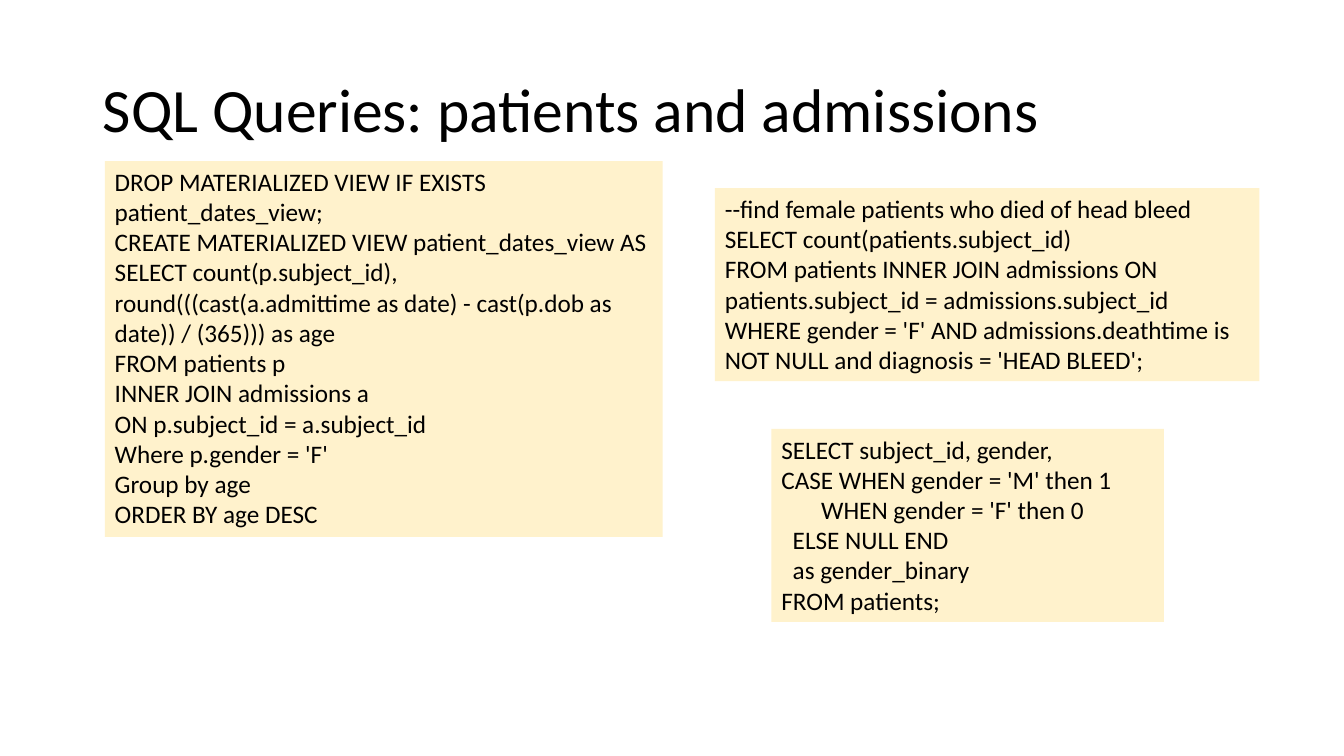
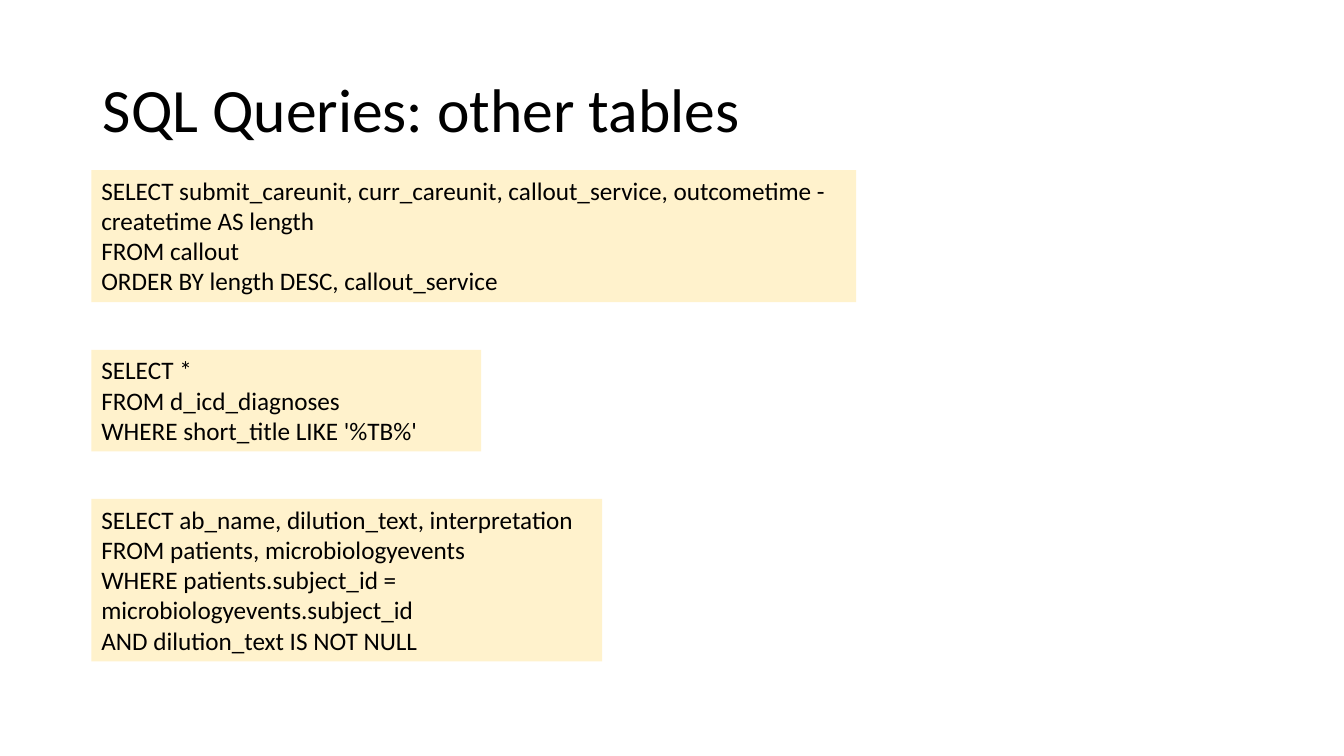
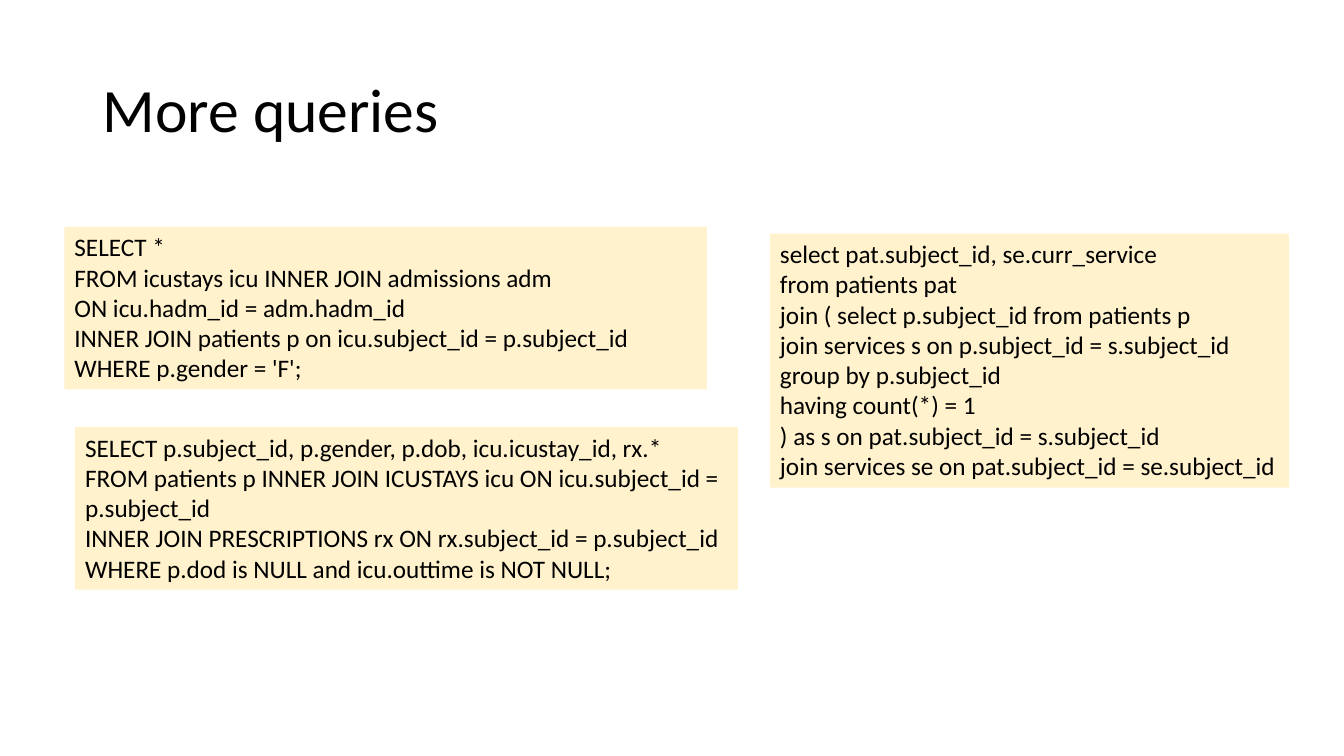
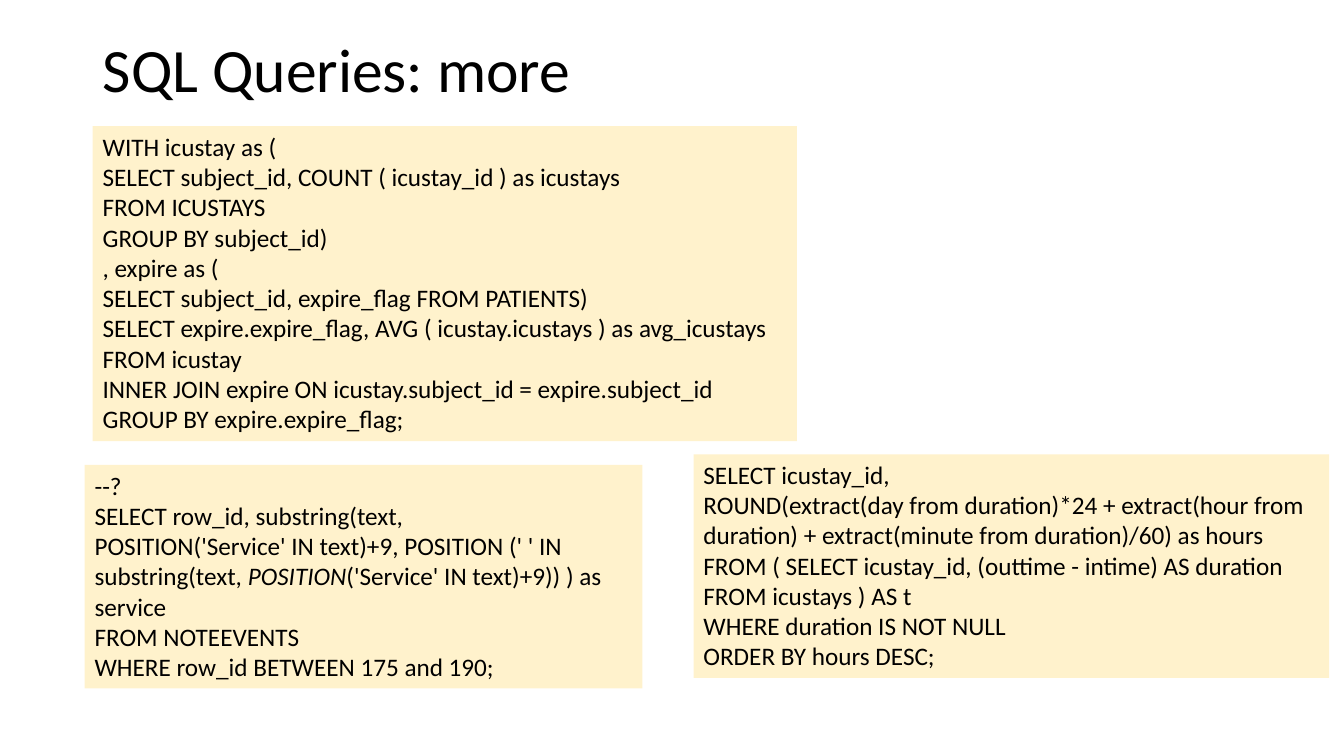
"""Build four slides of SQL query examples."""
import dataclasses

import pptx
import pptx.dml.color
import pptx.enum.shapes
import pptx.enum.text
import pptx.util


@dataclasses.dataclass(frozen=True)
class Theme:
    font: str = "Calibri"
    ink: str = "000000"
    panel: str = "FFF2CC"
    title_size: int = 44
    code_size: int = 18
    title_spacing: float = 0.9
    code_pitch: float = 1.21


theme = Theme()
deck = pptx.Presentation()
deck.slide_width = pptx.util.Inches(13.333)
deck.slide_height = pptx.util.Inches(7.5)
column = deck.slide_width / 100
row = deck.slide_height / 100
inset = pptx.util.Inches(0.05)
code_line = pptx.util.Pt(theme.code_size * theme.code_pitch)
stack_gap = 6.3 * row
title_left, title_width, title_height = 6.9, 86.25, 19.3


def write(box, text, *, size, anchor, autosize, spacing=None):
    frame = box.text_frame
    frame.word_wrap = True
    frame.auto_size = autosize
    frame.vertical_anchor = anchor
    for index, line in enumerate(text.split("\n")):
        para = frame.paragraphs[0] if index == 0 else frame.add_paragraph()
        para.alignment = pptx.enum.text.PP_ALIGN.LEFT
        para.line_spacing = spacing
        for part, words in enumerate(line.split("|")):
            span = para.add_run()
            span.text = words
            span.font.name = theme.font
            span.font.size = pptx.util.Pt(size)
            span.font.color.rgb = pptx.dml.color.RGBColor.from_string(theme.ink)
            if part % 2:
                span.font.italic = True


# Each query: left, top (None stacks it below the last one), width, lines, code.
pages = [
    ("SQL Queries: patients and admissions", 5.3, [
        (7.8, 21.3, 41.5, 12, """DROP MATERIALIZED VIEW IF EXISTS patient_dates_view;
CREATE MATERIALIZED VIEW patient_dates_view AS
SELECT count(p.subject_id),  round(((cast(a.admittime as date) - cast(p.dob as date)) / (365))) as age
FROM patients p
INNER JOIN admissions a
ON p.subject_id = a.subject_id
Where p.gender = 'F'
Group by age
ORDER BY age DESC"""),
        (53.2, 24.9, 40.5, 6, """--find female patients who died of head bleed
SELECT count(patients.subject_id)
FROM patients INNER JOIN admissions ON patients.subject_id = admissions.subject_id
WHERE gender = 'F' AND admissions.deathtime is NOT NULL and diagnosis = 'HEAD BLEED';"""),
        (57.4, None, 29.2, 6, """SELECT subject_id, gender,
CASE WHEN gender = 'M' then 1
       WHEN gender = 'F' then 0
  ELSE NULL END
  as gender_binary
FROM patients;"""),
    ]),
    ("SQL Queries: other tables", 5.3, [
        (6.8, 22.5, 56.9, 4, """SELECT submit_careunit, curr_careunit, callout_service, outcometime -
createtime AS length
FROM callout
ORDER BY length DESC, callout_service"""),
        (6.8, None, 29, 3, """SELECT *
FROM d_icd_diagnoses
WHERE short_title LIKE '%TB%'"""),
        (6.8, None, 38, 5, """SELECT ab_name, dilution_text, interpretation
FROM patients, microbiologyevents
WHERE patients.subject_id = microbiologyevents.subject_id
AND dilution_text IS NOT NULL"""),
    ]),
    ("More queries", 5.3, [
        (4.8, 30, 47.8, 5, """SELECT *
FROM icustays icu INNER JOIN admissions adm
ON icu.hadm_id = adm.hadm_id
INNER JOIN patients p on icu.subject_id = p.subject_id
WHERE p.gender = 'F';"""),
        (5.6, 56.5, 49.3, 5, """SELECT p.subject_id, p.gender, p.dob, icu.icustay_id, rx.*
FROM patients p INNER JOIN ICUSTAYS icu ON icu.subject_id = p.subject_id
INNER JOIN PRESCRIPTIONS rx ON rx.subject_id = p.subject_id
WHERE p.dod is NULL and icu.outtime is NOT NULL;"""),
        (57.3, 30.9, 38.6, 8, """select pat.subject_id, se.curr_service
from patients pat
join ( select p.subject_id from patients p
join services s on p.subject_id = s.subject_id
group by p.subject_id
having count(*) = 1
) as s on pat.subject_id = s.subject_id
join services se on pat.subject_id = se.subject_id"""),
    ]),
    ("SQL Queries: more", 0, [
        (6.9, 16.7, 52.4, 10, """WITH icustay as (
SELECT subject_id, COUNT ( icustay_id ) as icustays
FROM ICUSTAYS
GROUP BY subject_id)
, expire as (
SELECT subject_id, expire_flag FROM PATIENTS)
SELECT expire.expire_flag, AVG ( icustay.icustays ) as avg_icustays
FROM icustay
INNER JOIN expire ON icustay.subject_id = expire.subject_id
GROUP BY expire.expire_flag;"""),
        (6.3, 61.5, 41.5, 7, """--?
SELECT row_id, substring(text,
POSITION('Service' IN text)+9, POSITION (' ' IN
substring(text, |POSITION|('Service' IN text)+9)) ) as
service
FROM NOTEEVENTS
WHERE row_id BETWEEN 175 and 190;"""),
        (51.6, 60.1, 47.3, 7, """SELECT icustay_id,
ROUND(extract(day from duration)*24 + extract(hour from
duration) + extract(minute from duration)/60) as hours
FROM ( SELECT icustay_id, (outtime - intime) AS duration
FROM icustays ) AS t
WHERE duration IS NOT NULL
ORDER BY hours DESC;"""),
    ]),
]

for heading, title_top, queries in pages:
    page = deck.slides.add_slide(deck.slide_layouts[5])
    title = page.shapes.title
    title.left, title.top = int(title_left * column), int(title_top * row)
    title.width, title.height = int(title_width * column), int(title_height * row)
    write(title, heading, size=theme.title_size, spacing=theme.title_spacing,
          anchor=pptx.enum.text.MSO_ANCHOR.MIDDLE,
          autosize=pptx.enum.text.MSO_AUTO_SIZE.NONE)
    bottom = 0
    for left, top, width, lines, code in queries:
        start = bottom + stack_gap if top is None else top * row
        height = lines * code_line + 2 * inset
        bottom = start + height
        box = page.shapes.add_shape(
            pptx.enum.shapes.MSO_SHAPE.RECTANGLE,
            int(left * column), int(start), int(width * column), int(height))
        box.shadow.inherit = False
        box.fill.solid()
        box.fill.fore_color.rgb = pptx.dml.color.RGBColor.from_string(theme.panel)
        box.line.fill.background()
        write(box, code, size=theme.code_size,
              anchor=pptx.enum.text.MSO_ANCHOR.TOP,
              autosize=pptx.enum.text.MSO_AUTO_SIZE.SHAPE_TO_FIT_TEXT)

deck.save("out.pptx")
